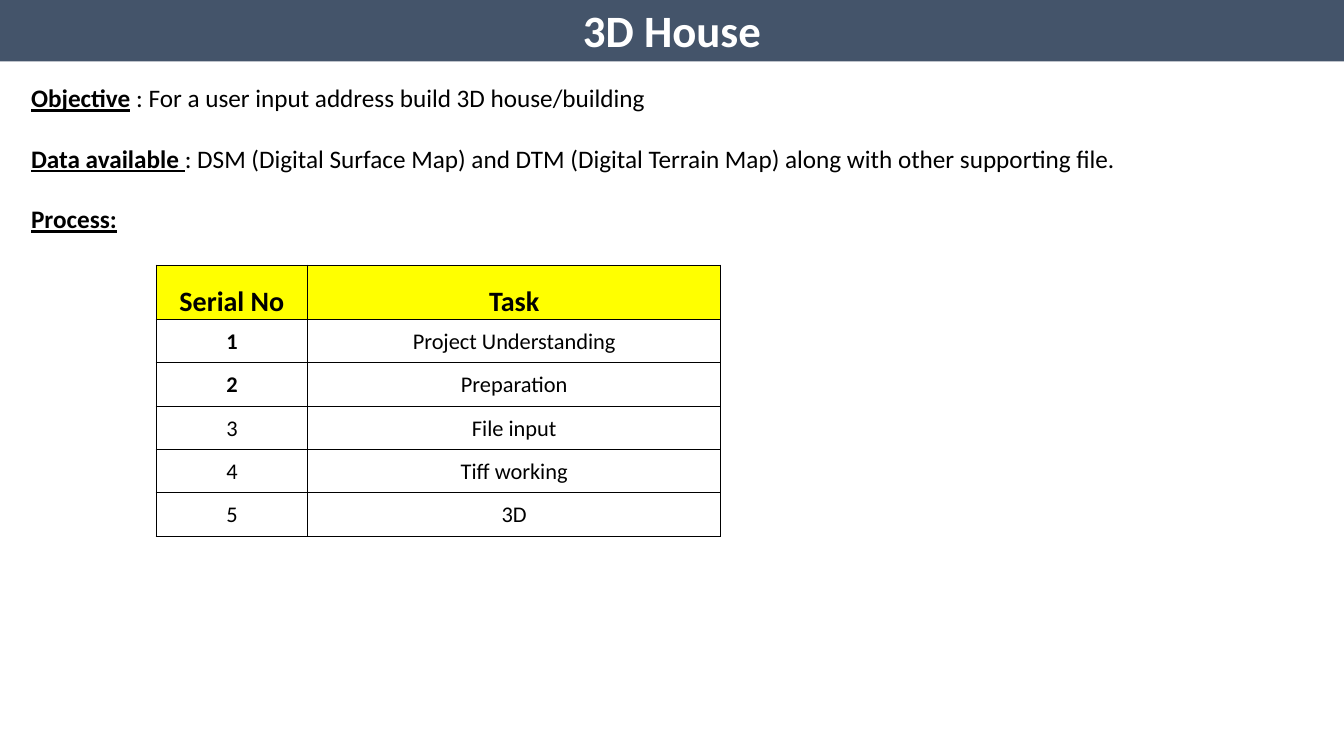
from pptx import Presentation
from pptx.dml.color import RGBColor
from pptx.enum.text import MSO_ANCHOR, MSO_AUTO_SIZE, PP_ALIGN
from pptx.oxml import parse_xml
from pptx.oxml.ns import nsdecls
from pptx.util import Inches, Pt

FONT = "Calibri"
BLACK, WHITE, SLATE, YELLOW = "000000", "FFFFFF", "44546A", "FFFF00"
TITLE_ONLY = 5

TOPICS = [
    ("Objective", " : For a user input address build 3D house/building"),
    ("Data available ", ": DSM (Digital Surface Map) and DTM (Digital Terrain Map) "
                        "along with other supporting file."),
    ("Process:", ""),
]
HEADINGS = ("Serial No", "Task")
TASKS = ["Project Understanding", "Preparation", "File input", "Tiff working", "3D"]
BOLD_SERIALS = (1, 2)
COLUMN_WIDTHS = (1.5, 4.1)
HEADING_HEIGHT, TASK_HEIGHT = 0.54, 0.43


def rgb(hex_color):
    return RGBColor.from_string(hex_color)


def set_font(font, size, color=BLACK, bold=None):
    font.name = FONT
    font.size = Pt(size)
    font.color.rgb = rgb(color)
    font.bold = bold


def place(shape, left, top, width, height):
    shape.left, shape.top = Inches(left), Inches(top)
    shape.width, shape.height = Inches(width), Inches(height)


def add_title_bar(slide, text):
    title = slide.shapes.title
    place(title, 0, -0.03, 13.33, 0.64)
    title.fill.solid()
    title.fill.fore_color.rgb = rgb(SLATE)
    frame = title.text_frame
    frame.text = text
    frame.auto_size = MSO_AUTO_SIZE.NONE
    frame.vertical_anchor = MSO_ANCHOR.MIDDLE
    heading = frame.paragraphs[0]
    heading.alignment = PP_ALIGN.CENTER
    set_font(heading.font, 32, WHITE, True)


def add_topics(slide, topics):
    box = slide.shapes.add_textbox(Inches(0.21), Inches(0.77), Inches(12.95), Inches(1.62))
    frame = box.text_frame
    frame.word_wrap = True
    for index, (label, detail) in enumerate(topics):
        topic = frame.add_paragraph() if index else frame.paragraphs[0]
        if index:
            topic.space_before = Pt(21.6)
        set_font(topic.font, 18)
        label_run = topic.add_run()
        label_run.text = label
        label_run.font.bold = label_run.font.underline = True
        if detail:
            topic.add_run().text = detail


def add_borders(cell):
    properties = cell._tc.get_or_add_tcPr()
    for side in "LRTB":
        properties.append(parse_xml(
            f'<a:ln{side} {nsdecls("a")} w="{Pt(1)}"><a:solidFill>'
            f'<a:srgbClr val="{BLACK}"/></a:solidFill></a:ln{side}>'))


def fill_cell(cell, text, size, bold, anchor, fill=None):
    add_borders(cell)
    if fill:
        cell.fill.solid()
        cell.fill.fore_color.rgb = rgb(fill)
    else:
        cell.fill.background()
    cell.margin_left = cell.margin_right = cell.margin_top = Inches(0.01)
    cell.margin_bottom = 0
    cell.vertical_anchor = anchor
    cell.text = text
    entry = cell.text_frame.paragraphs[0]
    entry.alignment = PP_ALIGN.CENTER
    set_font(entry.font, size, bold=bold)


def add_task_table(slide, headings, tasks):
    height = HEADING_HEIGHT + TASK_HEIGHT * len(tasks)
    table = slide.shapes.add_table(
        len(tasks) + 1, len(headings), Inches(1.55), Inches(2.63),
        Inches(sum(COLUMN_WIDTHS)), Inches(height)).table
    table.first_row = table.horz_banding = False
    for column, width in zip(table.columns, COLUMN_WIDTHS):
        column.width = Inches(width)
    for index, row in enumerate(table.rows):
        row.height = Inches(TASK_HEIGHT if index else HEADING_HEIGHT)
    for column, heading in enumerate(headings):
        fill_cell(table.cell(0, column), heading, 20, True, MSO_ANCHOR.BOTTOM, YELLOW)
    for serial, task in enumerate(tasks, start=1):
        fill_cell(table.cell(serial, 0), str(serial), 16, serial in BOLD_SERIALS,
                  MSO_ANCHOR.MIDDLE)
        fill_cell(table.cell(serial, 1), task, 16, False, MSO_ANCHOR.MIDDLE)


def main():
    deck = Presentation()
    deck.slide_width, deck.slide_height = Inches(13.33), Inches(7.5)
    slide = deck.slides.add_slide(deck.slide_layouts[TITLE_ONLY])
    add_title_bar(slide, "3D House")
    add_topics(slide, TOPICS)
    add_task_table(slide, HEADINGS, TASKS)
    deck.save("out.pptx")


if __name__ == "__main__":
    main()
